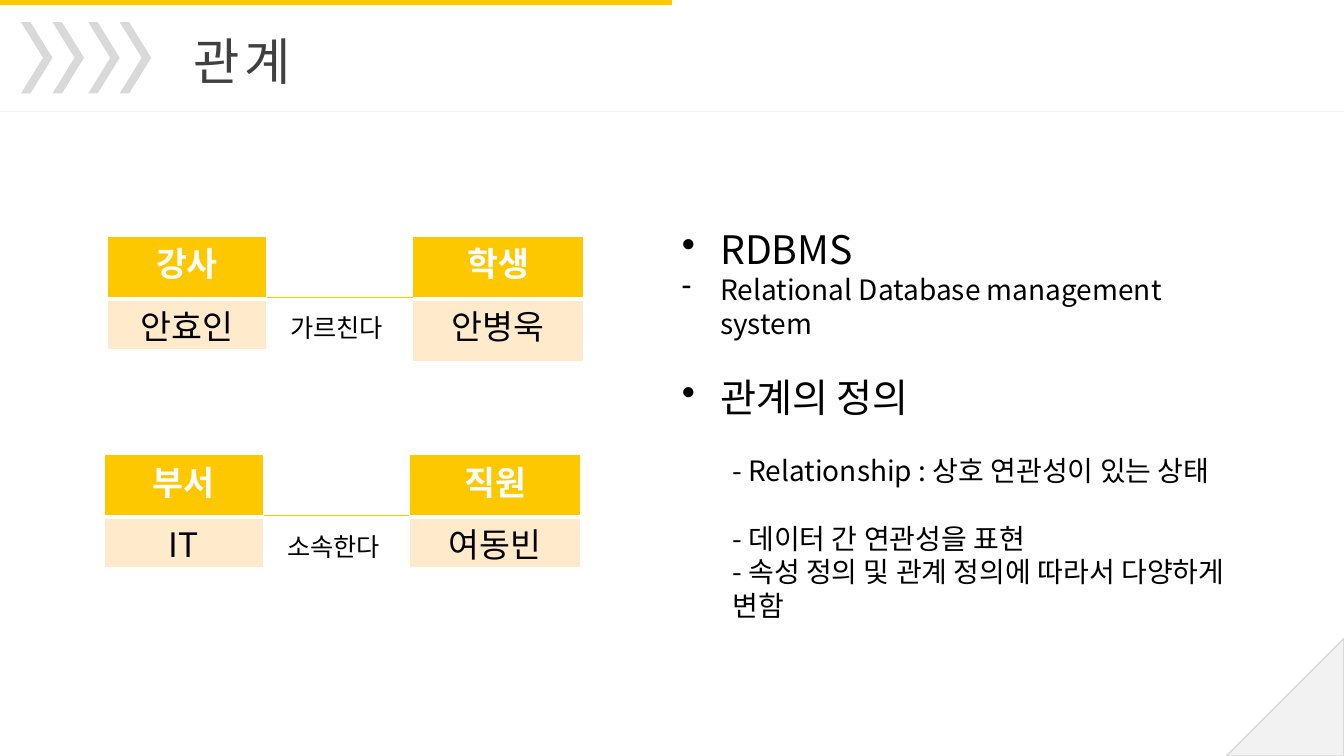
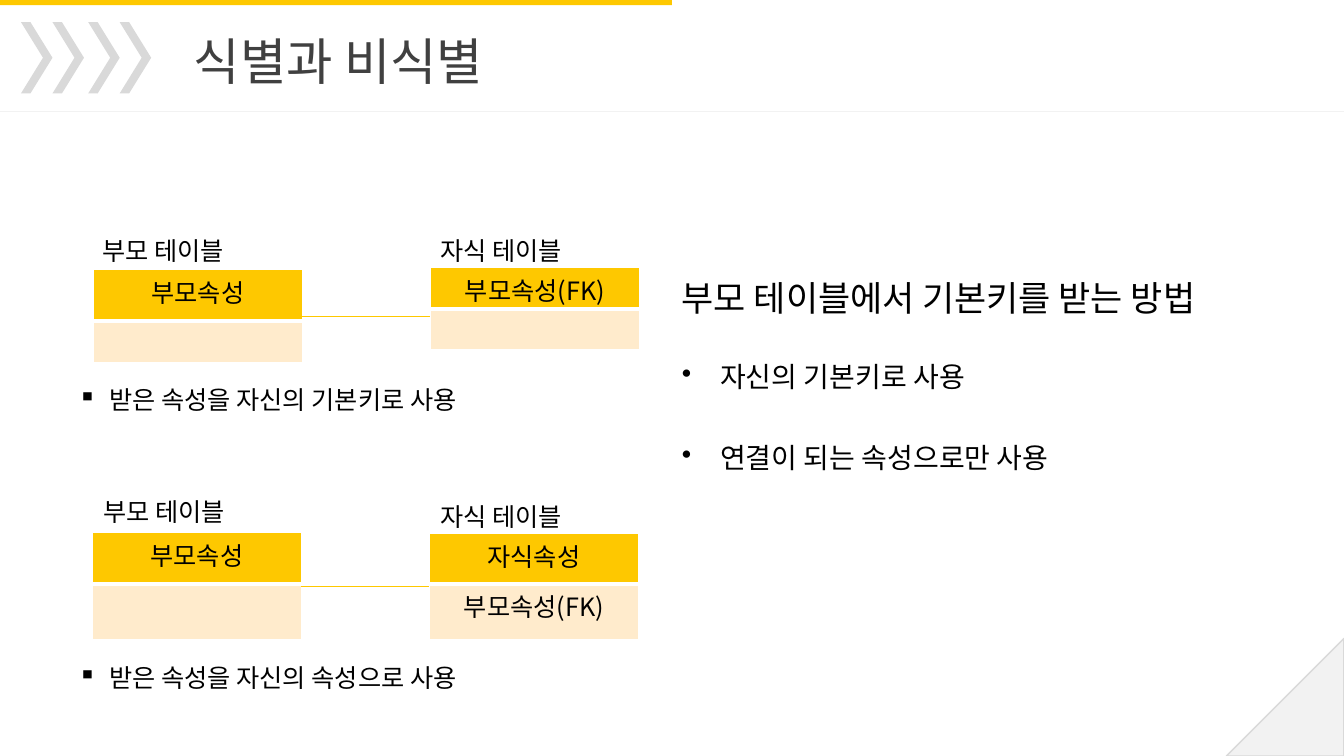
"""Build two slides on relationships between database tables."""
from lxml import etree
from pptx import Presentation
from pptx import util as u
from pptx.dml.color import RGBColor
from pptx.enum import shapes, text
from pptx.oxml.ns import qn

YELLOW = RGBColor(0xFE, 0xC8, 0x00)
CREAM = RGBColor(0xFF, 0xEB, 0xCC)
WHITE = RGBColor(0xFF, 0xFF, 0xFF)
BLACK = RGBColor(0x00, 0x00, 0x00)
CHARCOAL = RGBColor(0x40, 0x40, 0x40)
SILVER = RGBColor(0xD9, 0xD9, 0xD9)
MIST = RGBColor(0xF2, 0xF2, 0xF2)
KOREAN, LATIN = "Noto Sans CJK KR", "Calibri"
COLS, ROWS = 128, 72
LEADING = 1.2


def grid(*cells):
    """Turn grid columns or rows into lengths."""
    return [u.Pt(7.5 * c) for c in cells]


def write(tf, words, size=18, color=BLACK, bold=False, font=KOREAN, align=None,
          bullet=None, indent=0, hanging=0, before=0, spacing=0):
    """Add one formatted paragraph to a text frame."""
    p = tf.paragraphs[0]
    if p.runs:
        p = tf.add_paragraph()
    pPr = p._p.get_or_add_pPr()
    if indent:
        pPr.set("marL", str(u.Inches(indent)))
        pPr.set("indent", str(-u.Inches(hanging)))
    if bullet:
        etree.SubElement(pPr, qn("a:buChar")).set("char", bullet)
    p.line_spacing = u.Pt(size * LEADING)
    p.space_before = u.Pt(before)
    p.alignment = align
    if words:
        r = p.add_run()
        r.text = words
        r.font.size, r.font.bold, r.font.name = u.Pt(size), bold, font
        r.font.color.rgb = color
        rPr = r._r.get_or_add_rPr()
        etree.SubElement(rPr, qn("a:ea")).set("typeface", KOREAN)
        if spacing:
            rPr.set("spc", str(spacing * 100))


HEAD = dict(size=24, color=WHITE, bold=True)
NAME = dict(size=24)
ATTR = dict(size=18)
EMPTY = dict(size=12)
VERB = dict(font=LATIN)
NOTE = dict(bullet="▪", indent=0.31, hanging=0.31)
ITEM = dict(indent=0.38, hanging=0.38)

SLIDES = [
    dict(
        title="관계", spacing=3,
        body=(64, 21, 55.6, 39),
        lines=[
            ("RDBMS", dict(size=28, bullet="•", **ITEM)),
            ("Relational Database management system", dict(size=20, bullet="-", **ITEM)),
            ("관계의 정의", dict(size=28, bullet="•", before=24, **ITEM)),
            ("- Relationship : 상호 연관성이 있는 상태", dict(size=20, indent=0.5, before=24)),
            ("- 데이터 간 연관성을 표현", dict(size=20, indent=0.5, before=24)),
            ("- 속성 정의 및 관계 정의에 따라서 다양하게 변함", dict(size=20, indent=0.5)),
        ],
        tables=[
            (10.2, 22.5, 15.2, (5.95, "강사", HEAD), (4.8, "안효인", NAME)),
            (39.3, 22.5, 16.3, (5.95, "학생", HEAD), (5.95, "안병욱", NAME)),
            (9.9, 43.3, 15.2, (5.95, "부서", HEAD), (4.8, "IT", NAME)),
            (39, 43.3, 16.3, (5.95, "직원", HEAD), (4.8, "여동빈", NAME)),
        ],
        links=[(25.4, 39.3, 28.3), (25.1, 39, 49.1)],
        captions=[
            (26.7, 29.3, 12.5, "가르친다", VERB),
            (26.4, 50.1, 12.5, "소속한다", VERB),
        ],
    ),
    dict(
        title="식별과 비식별", spacing=0,
        body=(64, 25.9, 57.5, 23.8),
        lines=[
            ("부모 테이블에서 기본키를 받는 방법", dict(size=25)),
            ("자신의 기본키로 사용", dict(size=20, bullet="•", before=29, **ITEM)),
            ("연결이 되는 속성으로만 사용", dict(size=20, bullet="•", before=34, **ITEM)),
        ],
        tables=[
            (8.9, 25.7, 19.9, (4.9, "부모속성", ATTR), (3.6, "", EMPTY)),
            (41, 25.5, 19.9, (3.9, "부모속성(FK)", ATTR), (3.9, "", EMPTY)),
            (8.8, 50.7, 19.9, (4.9, "부모속성", ATTR), (5.3, "", EMPTY)),
            (40.9, 50.8, 19.9, (4.8, "자식속성", ATTR), (5.3, "부모속성(FK)", ATTR)),
        ],
        links=[(28.8, 41, 30.1), (28.7, 40.9, 55.8)],
        captions=[
            (8.8, 21.9, 16, "부모 테이블", VERB),
            (41, 21.9, 16, "자식 테이블", ATTR),
            (8.9, 46.8, 16, "부모 테이블", VERB),
            (41, 47.3, 16, "자식 테이블", ATTR),
            (6.5, 36.1, 52.6, "받은 속성을 자신의 기본키로 사용", NOTE),
            (6.5, 62.6, 52.6, "받은 속성을 자신의 속성으로 사용", NOTE),
        ],
    ),
]

MSO = shapes.MSO_SHAPE
DECOR = [
    (MSO.RIGHT_TRIANGLE, (116.8, 60.8, 11.2, 11.2), MIST),
    (MSO.RECTANGLE, (0, 0, COLS / 2, 0.5), YELLOW),
] + [(MSO.CHEVRON, (x, 2.1, 3, 6.8), SILVER) for x in (2, 5, 8.4, 11.4)]

prs = Presentation()
prs.slide_width, prs.slide_height = grid(COLS, ROWS)

for page in SLIDES:
    s = prs.slides.add_slide(prs.slide_layouts[5])

    for preset, place, color in DECOR:
        sp = s.shapes.add_shape(preset, *grid(*place))
        sp.shadow.inherit = False
        sp.fill.solid()
        sp.fill.fore_color.rgb = color
        sp.line.fill.background()
        if preset == MSO.CHEVRON:
            sp.adjustments[0] = 0.7
        elif preset == MSO.RIGHT_TRIANGLE:
            sp._element.spPr.xfrm.set("flipH", "1")
            sp.line.color.rgb = SILVER
            sp.line.width = u.Pt(1)

    title = s.shapes.title
    title.left, title.top, title.width, title.height = grid(17.5, 2.4, 69, 6.8)
    tf = title.text_frame
    tf.auto_size = text.MSO_AUTO_SIZE.NONE
    tf.vertical_anchor = text.MSO_ANCHOR.TOP
    write(tf, page["title"], size=36, color=CHARCOAL, spacing=page["spacing"],
          align=text.PP_ALIGN.JUSTIFY)

    for x, y, width, *rows in page["tables"]:
        height = sum(row[0] for row in rows)
        table = s.shapes.add_table(2, 1, *grid(x, y, width, height)).table
        for i, (row_height, words, style) in enumerate(rows):
            table.rows[i].height = grid(row_height)[0]
            cell = table.cell(i, 0)
            tcPr = cell._tc.get_or_add_tcPr()
            inner = "a:lnT" if i else "a:lnB"
            for side in ("a:lnL", "a:lnR", "a:lnT", "a:lnB"):
                ln = etree.SubElement(tcPr, qn(side))
                ln.set("w", str(u.Pt(3 if side == inner else 1)))
                fill = etree.SubElement(ln, qn("a:solidFill"))
                etree.SubElement(fill, qn("a:srgbClr")).set("val", str(WHITE))
            cell.fill.solid()
            cell.fill.fore_color.rgb = CREAM if i else YELLOW
            cell.margin_top, cell.margin_bottom = u.Inches(0.1), 0
            write(cell.text_frame, words, align=text.PP_ALIGN.CENTER, **style)

    rules = [(x1, x2, y, YELLOW) for x1, x2, y in page["links"]]
    for x1, x2, y, color in [(0, COLS, 10.6, MIST)] + rules:
        line = s.shapes.add_connector(shapes.MSO_CONNECTOR.STRAIGHT, *grid(x1, y, x2, y))
        line.line.color.rgb = color
        line.line.width = u.Pt(0.5)
        etree.SubElement(line._element.spPr, qn("a:effectLst"))

    boxes = [(page["body"], page["lines"])]
    boxes += [((x, y, w, 3.84), [(words, style)]) for x, y, w, words, style in page["captions"]]
    for place, lines in boxes:
        tf = s.shapes.add_textbox(*grid(*place)).text_frame
        tf.word_wrap = True
        for words, style in lines:
            write(tf, words, **style)

prs.save("out.pptx")
